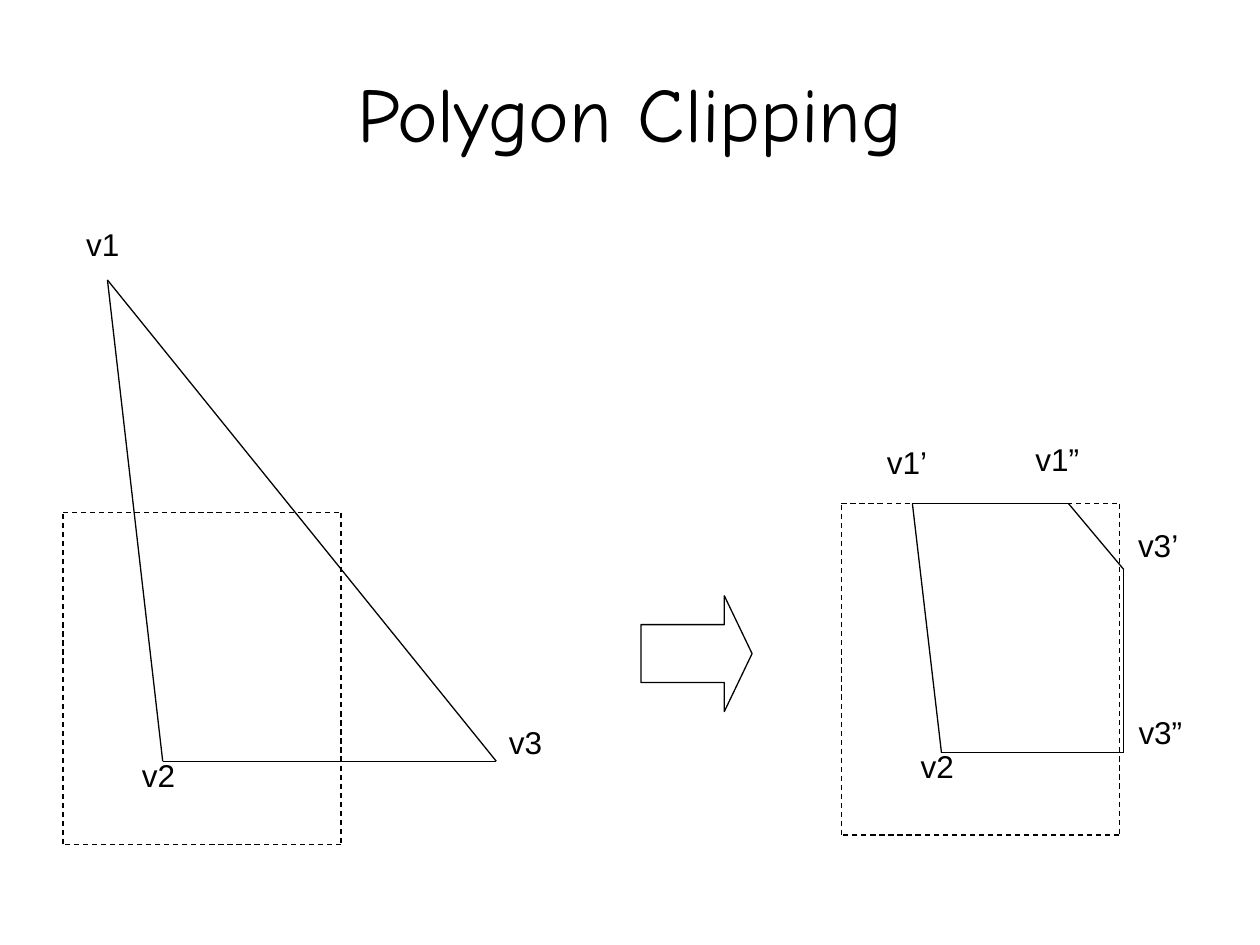
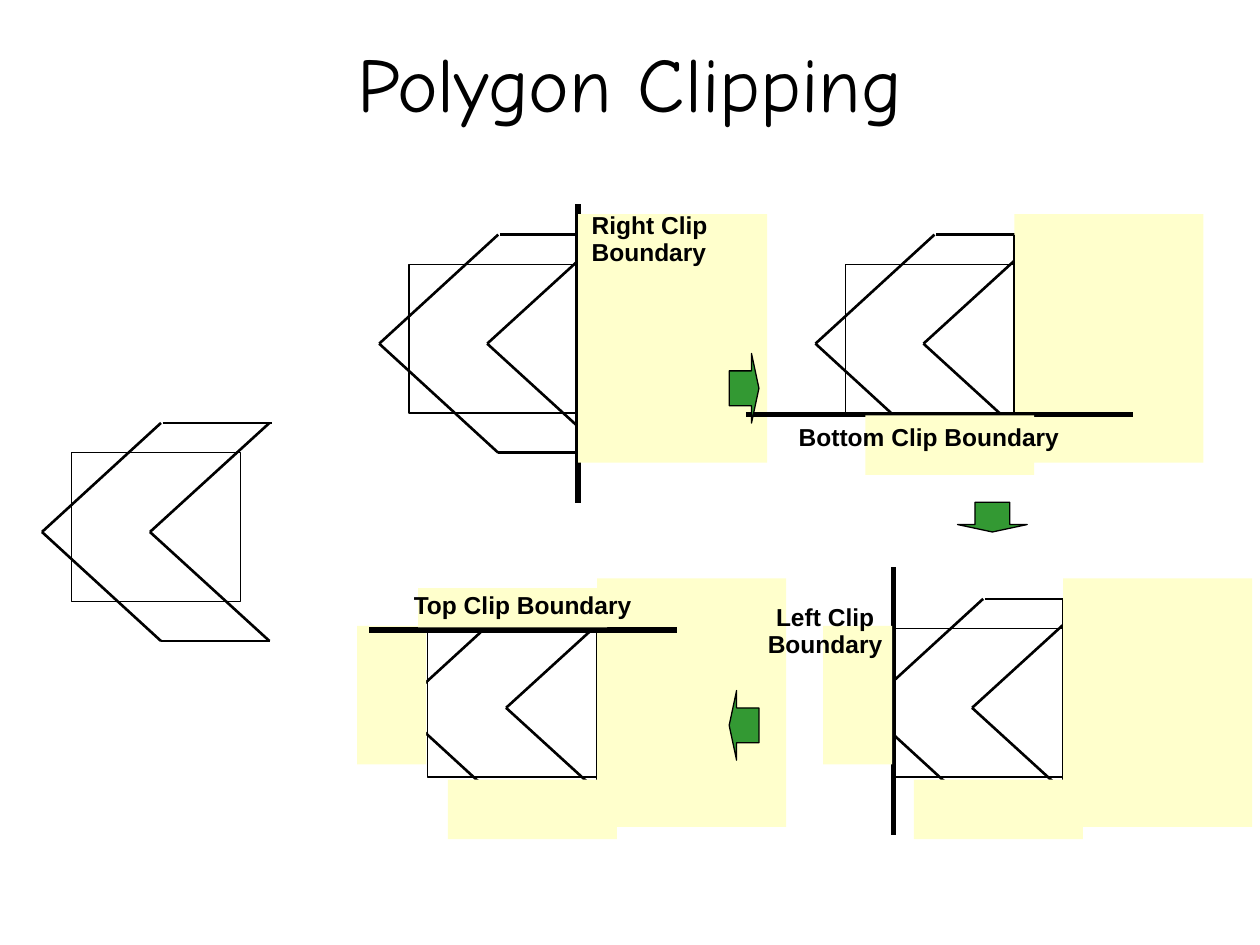
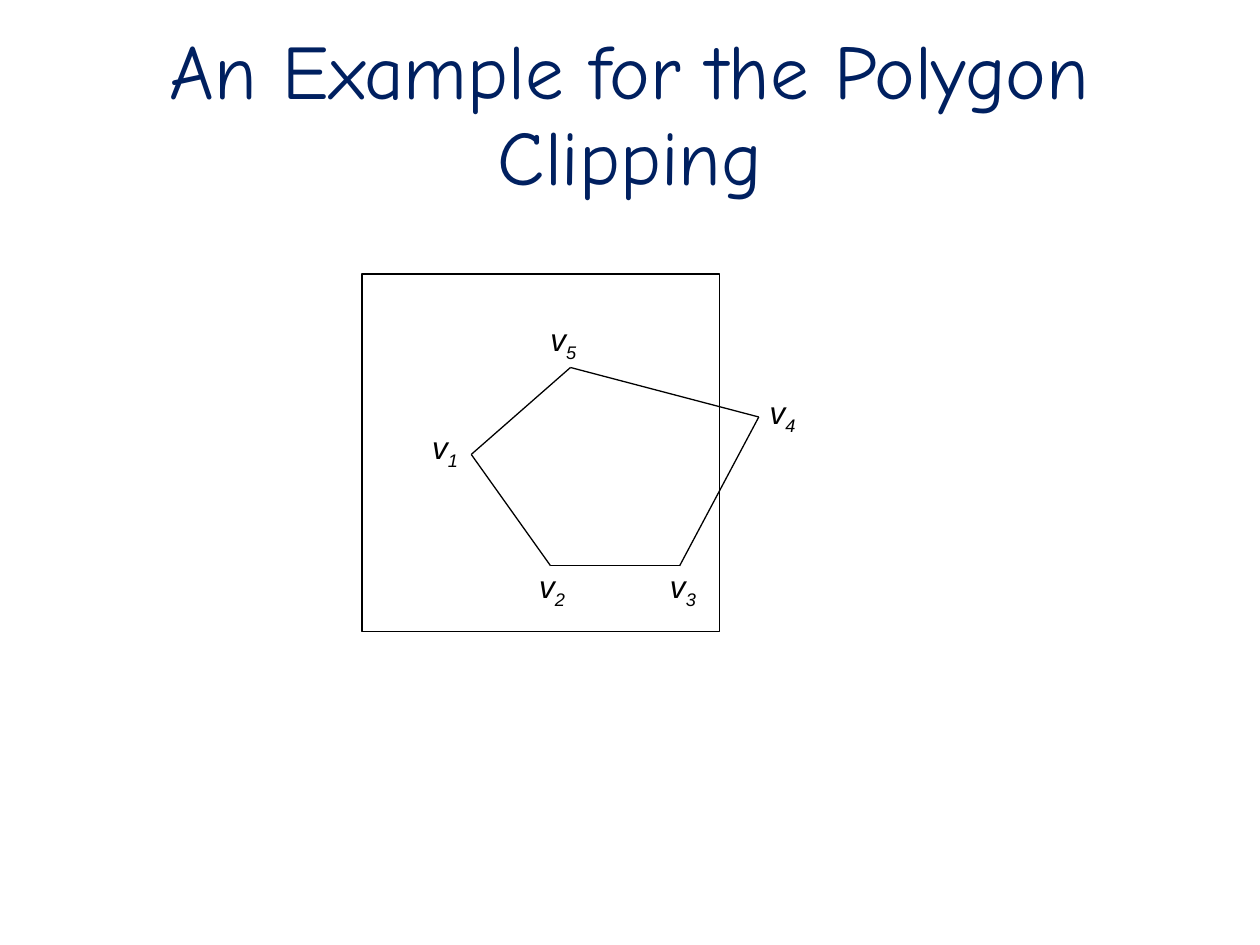
from itertools import pairwise

from lxml import etree
from pptx import Presentation
from pptx.dml.color import RGBColor
from pptx.enum import dml, shapes, text
from pptx.oxml.ns import qn
from pptx.util import Pt

COLORS = {"ink": "000000", "navy": "002060", "clipped": "FFFFCC", "arrow": "339933"}
TITLE_FONT, LABEL_FONT = "Comic Neue", "Arial"
LINE_SPACING = 0.93
THIN, MEDIUM, THICK = 0.75, 1.5, 3
SHAPE, ALIGN, ANCHOR = shapes.MSO_SHAPE, text.PP_ALIGN, text.MSO_ANCHOR

CHEVRON_LINES = [
    [(68, -62.3), (0, 0), (68, 62.3)],
    [(69, -62.3), (131.3, -62.3)],
    [(68, 62.3), (130.3, 62.3)],
    [(130, -62.3), (61.7, 0), (130, 62.3)],
]
WINDOW = (17, -45.4, 96.5, 85)
CLIPPED_AREAS = {
    "right": (113.7, -74, 108, 142),
    "bottom": (28.5, 41, 96.5, 34),
    "left": (-23.5, -46.8, 39.5, 79.2),
    "top": (11.5, -68.4, 108, 22.4),
}
RIGHT_EDGE = [(113.4, -62.3), (113.4, 62.3)]


def rgb(name):
    return RGBColor.from_string(COLORS[name])


def shift(points, origin):
    return [(x + origin[0], y + origin[1]) for x, y in points]


def shift_box(box, origin):
    return (box[0] + origin[0], box[1] + origin[1], *box[2:])


def add_slide(prs, title, color="ink", anchor=ANCHOR.MIDDLE, inset=(7.2, 3.6)):
    s = prs.slides.add_slide(prs.slide_layouts[5])
    sp = s.shapes.title
    sp.left, sp.top, sp.width, sp.height = Pt(36), Pt(21.6), Pt(648), Pt(90)
    tf = sp.text_frame
    tf.auto_size, tf.word_wrap = text.MSO_AUTO_SIZE.NONE, True
    tf.vertical_anchor = anchor
    tf.margin_left = tf.margin_right = Pt(inset[0])
    tf.margin_top = tf.margin_bottom = Pt(inset[1])
    p = tf.paragraphs[0]
    p.text = title
    p.alignment, p.line_spacing = ALIGN.CENTER, LINE_SPACING
    p.font.name, p.font.size = TITLE_FONT, Pt(44)
    p.font.color.rgb = rgb(color)
    return s


def add_lines(s, points, width=THIN, closed=False, dashed=False):
    if closed:
        points = points + points[:1]
    for start, end in pairwise(points):
        ends = [Pt(v) for v in start + end]
        c = s.shapes.add_connector(shapes.MSO_CONNECTOR.STRAIGHT, *ends)
        c.line.color.rgb, c.line.width = rgb("ink"), Pt(width)
        if dashed:
            c.line.dash_style = dml.MSO_LINE.DASH
        etree.SubElement(c._element.spPr, qn("a:effectLst"))


def add_box(s, box, kind=SHAPE.RECTANGLE, fill=None, outline=True):
    sp = s.shapes.add_shape(kind, *[Pt(v) for v in box])
    sp.shadow.inherit = False
    if fill:
        sp.fill.solid()
        sp.fill.fore_color.rgb = rgb(fill)
    else:
        sp.fill.background()
    if outline:
        sp.line.color.rgb, sp.line.width = rgb("ink"), Pt(THIN)
    else:
        sp.line.fill.background()
    return sp


def add_arrow(s, box, kind=SHAPE.RIGHT_ARROW, fill=None):
    sp = add_box(s, box, kind, fill)
    sp.adjustments[0], sp.adjustments[1] = 0.5, 0.25


def add_text(s, box, content, size, align=ALIGN.LEFT):
    tf = s.shapes.add_textbox(*[Pt(v) for v in box]).text_frame
    tf.word_wrap = True
    p = tf.paragraphs[0]
    p.text = content
    p.alignment, p.line_spacing = align, LINE_SPACING
    p.font.name, p.font.size = LABEL_FONT, Pt(size)
    p.font.color.rgb = rgb("ink")
    return tf


def add_vertex_label(s, x, y, name, subscript=None):
    width, height = (28.8, 30.2) if subscript else (33 + 5 * (len(name) - 2), 27.4)
    tf = add_text(s, (x, y, width, height), name, 18)
    tf.margin_right = 0
    if subscript:
        p = tf.paragraphs[0]
        p.font.italic = True
        r = p.add_run()
        r.text = subscript
        r._r.get_or_add_rPr().set("baseline", "-25000")


def add_boundary_label(s, box, content, align=ALIGN.LEFT):
    tf = add_text(s, box, content, 14, align)
    tf.vertical_anchor = ANCHOR.MIDDLE
    tf.paragraphs[0].font.bold = True


def add_dashed_window(s, x, y, w=158.8, h=189.4):
    corners = [(x, y), (x + w, y), (x + w, y + h), (x, y + h)]
    add_lines(s, corners, closed=True, dashed=True)


def add_clip_stage(s, origin, sides=(), boundary=None):
    for points in CHEVRON_LINES:
        add_lines(s, shift(points, origin), MEDIUM)
    add_box(s, shift_box(WINDOW, origin))
    for side in sides:
        if side == sides[-1]:
            add_lines(s, boundary, THICK)
        add_box(s, shift_box(CLIPPED_AREAS[side], origin), fill="clipped", outline=False)
        if side == "right" and len(sides) > 1:
            add_lines(s, shift(RIGHT_EDGE, origin))


def triangle_slide(prs):
    s = add_slide(prs, "Polygon Clipping", inset=(0, 0))
    add_dashed_window(s, 36, 293)
    add_lines(s, [(61.4, 160), (93, 435), (283.6, 435)], closed=True)
    add_dashed_window(s, 480.8, 287.8)
    clipped = [(521.4, 287.8), (538, 430.2), (642.2, 430.2), (642.2, 325.5), (610.6, 287.8)]
    add_lines(s, clipped, closed=True)
    for x, y, name in [
        (42.2, 126.7, "v1"), (74, 430.6, "v2"), (283.7, 411.4, "v3"),
        (499.7, 251.5, "v1’"), (584.6, 249.8, "v1”"), (643.2, 298.8, "v3’"),
        (643.5, 406, "v3”"), (519, 425.5, "v2"),
    ]:
        add_vertex_label(s, x, y, name)
    add_arrow(s, (366.3, 340.4, 63.5, 66.2))


def stages_slide(prs):
    s = add_slide(prs, "Polygon Clipping", anchor=ANCHOR.TOP)
    add_clip_stage(s, (227.5, 404.5), ("right", "bottom", "left", "top"), [(211, 360), (386.6, 360)])
    add_boundary_label(s, (199.4, 315.4, 198.7, 62.6), "Top Clip Boundary", ALIGN.CENTER)
    add_clip_stage(s, (24, 304))
    add_clip_stage(s, (216.7, 196.4), ("right",), [(330.3, 116.6), (330.3, 287.3)])
    add_boundary_label(s, (331, 105.8, 95, 62.6), "Right Clip Boundary")
    add_clip_stage(s, (466, 196.4), ("right", "bottom"), [(426.2, 237), (647.3, 237)])
    add_boundary_label(s, (449.3, 218.9, 215.3, 62.6), "Bottom Clip Boundary")
    add_clip_stage(s, (493.8, 404.5), ("right", "bottom", "left"), [(510.5, 324), (510.5, 477.4)])
    add_boundary_label(s, (426.2, 329.8, 90.7, 62.6), "Left Clip Boundary", ALIGN.CENTER)
    add_arrow(s, (416.7, 202, 17, 39.8), fill="arrow")
    add_arrow(s, (416.7, 394.6, 17, 39.8), SHAPE.LEFT_ARROW, "arrow")
    add_arrow(s, (547.2, 287, 39.8, 17), SHAPE.DOWN_ARROW, "arrow")


def pentagon_slide(prs):
    s = add_slide(prs, "An Example for the Polygon Clipping", "navy")
    vertices = [(269.3, 259.7), (314.6, 323.3), (388.4, 323.3), (433.6, 238.3), (326, 210)]
    add_lines(s, vertices, closed=True)
    add_box(s, (206.8, 156.6, 204.4, 204.4))
    corners = [(239.8, 241.2), (301, 320.4), (375.8, 320.4), (432.7, 221), (307.4, 179.3)]
    for number, (x, y) in enumerate(corners, 1):
        add_vertex_label(s, x, y, "v", str(number))


def main():
    prs = Presentation()
    prs.slide_width, prs.slide_height = Pt(720), Pt(540)
    triangle_slide(prs)
    stages_slide(prs)
    pentagon_slide(prs)
    prs.save("out.pptx")


if __name__ == "__main__":
    main()
